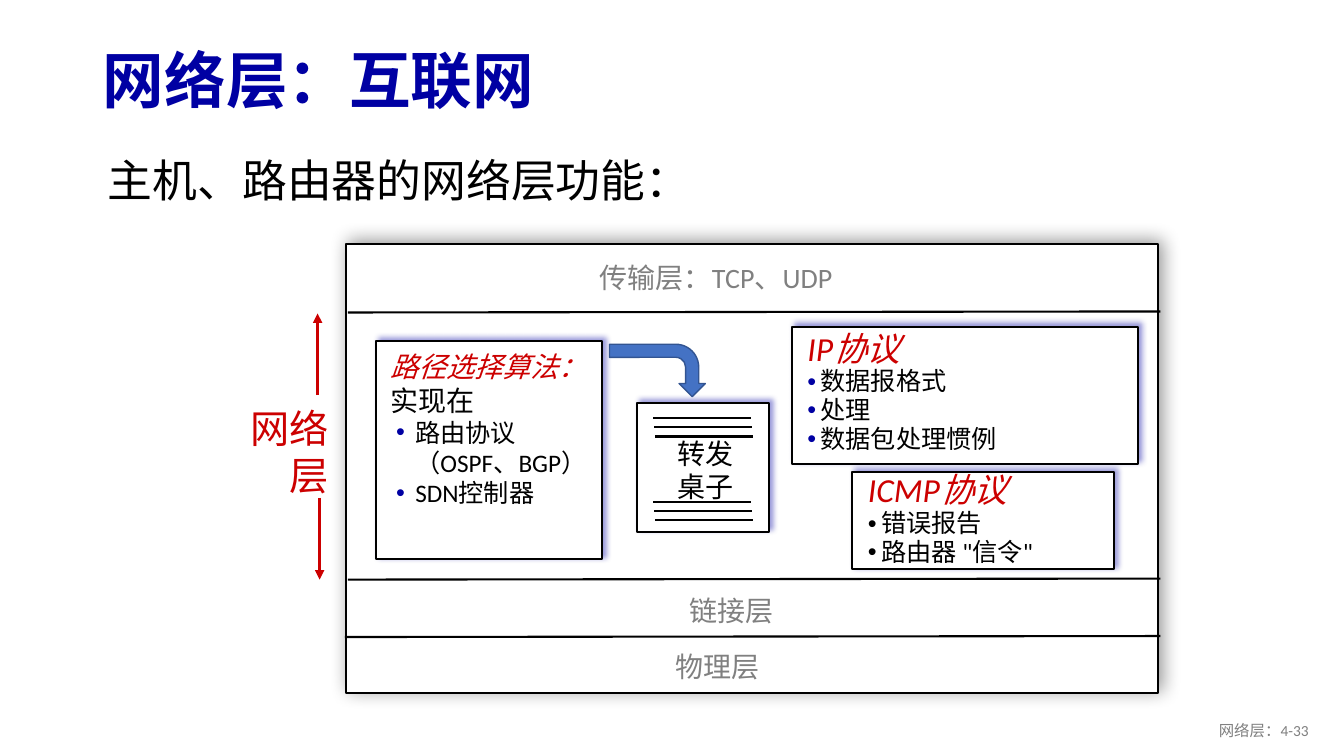
"""Build the slide on the functions of the network layer."""
from lxml import etree
from pptx import Presentation
from pptx.dml.color import RGBColor
from pptx.enum.shapes import MSO_CONNECTOR, MSO_SHAPE
from pptx.enum.text import MSO_ANCHOR, MSO_AUTO_SIZE, PP_ALIGN
from pptx.oxml.ns import qn
from pptx.util import Pt

PX = 9144
LINE = MSO_CONNECTOR.STRAIGHT
RECT, BENT = MSO_SHAPE.RECTANGLE, MSO_SHAPE.BENT_ARROW
LEFT, MID, RIGHT = PP_ALIGN.LEFT, PP_ALIGN.CENTER, PP_ALIGN.RIGHT
CENTER = MSO_ANCHOR.MIDDLE
GROW, FIXED = MSO_AUTO_SIZE.SHAPE_TO_FIT_TEXT, MSO_AUTO_SIZE.NONE
HUES = {"navy": "0000A3", "red": "CC0000", "ink": "000000", "gray": "808080",
        "white": "FFFFFF", "blue": "4472C4", "edge": "325491"}
RGB = {name: RGBColor.from_string(code) for name, code in HUES.items()}


def say(frame, text, size=20, hue="ink", bold=False, ital=False, align=LEFT,
        space=None, dot=None, pad=0, hang=0, join=False):
    para = frame.paragraphs[-1]
    if para.runs and not join:
        para = frame.add_paragraph()
    if not join:
        para.alignment = align
        para.line_spacing = space
    if dot:
        props = para._p.get_or_add_pPr()
        props.set("marL", str(pad * PX))
        props.set("indent", str(-hang * PX))
        tint = etree.SubElement(props, qn("a:buClr"))
        etree.SubElement(tint, qn("a:srgbClr"), val=HUES[dot])
        etree.SubElement(props, qn("a:buFont"), typeface="Arial")
        etree.SubElement(props, qn("a:buChar"), char="•")
    run = para.add_run()
    run.text = text
    font = run.font
    font.name, font.size = "Calibri", Pt(size)
    font.bold, font.italic = bold, ital
    font.color.rgb = RGB[hue]


def box(x, y, w, h, wrap=False, fit=GROW):
    frame = slide.shapes.add_textbox(x * PX, y * PX, w * PX, h * PX).text_frame
    frame.word_wrap = wrap
    frame.auto_size = fit
    return frame


deck = Presentation()
deck.slide_width, deck.slide_height = 1333 * PX, 750 * PX
slide = deck.slides.add_slide(deck.slide_layouts[5])

title = slide.shapes.title
title.left, title.top, title.width, title.height = (n * PX for n in (92, 34, 1150, 98))
title.text_frame.vertical_anchor = CENTER
say(title.text_frame, "网络层：互联网", 44, "navy", bold=True, space=0.9)

panels = [
    (343, 242, 806, 446, "ink", 13),
    (786, 324, 343, 136, "navy", 4),
    (845, 468, 260, 97, "navy", 4),
    (632, 400, 131, 128, "navy", 4),
    (373, 338, 224, 217, "navy", 4),
]
for x, y, w, h, glow, blur in panels:
    panel = slide.shapes.add_shape(RECT, x * PX, y * PX, w * PX, h * PX)
    panel.fill.solid()
    panel.fill.fore_color.rgb = RGB["white"]
    panel.line.color.rgb = RGB["ink"]
    panel.line.width = Pt(1.5)
    panel.shadow.inherit = False
    effects = panel._element.spPr.find(qn("a:effectLst"))
    shade = etree.SubElement(effects, qn("a:outerShdw"), blurRad=str(Pt(blur)),
                             dist=str(Pt(3)), dir="18900000", algn="bl", rotWithShape="0")
    tint = etree.SubElement(shade, qn("a:srgbClr"), val=HUES[glow])
    etree.SubElement(tint, qn("a:alpha"), val="40000")

layers = [(345, 310, 1151, 309), (345, 575, 1151, 574), (342, 632, 1151, 631)]
rows = [(648 + step, top + 9 * step, 745 + step, top + 9 * step)
        for top in (415, 498) for step in range(3)]
arrows = [(315, 392, 315, 311), (317, 494, 317, 575)]
for ends in layers + rows + arrows:
    line = slide.shapes.add_connector(LINE, *(n * PX for n in ends))
    arrow = ends in arrows
    line.line.color.rgb = RGB["red" if arrow else "ink"]
    line.line.width = Pt(2.25 if arrow else 1.5)
    if arrow:
        etree.SubElement(line.line._get_or_add_ln(), qn("a:tailEnd"), type="triangle")
    etree.SubElement(line._element.spPr, qn("a:effectLst"))

bend = slide.shapes.add_shape(BENT, 626 * PX, 320 * PX, 52 * PX, 95 * PX)
bend.rotation = 90
bend.fill.solid()
bend.fill.fore_color.rgb = RGB["blue"]
bend.line.color.rgb = RGB["edge"]
bend.line.width = Pt(1)
bend.shadow.inherit = False

say(box(97, 155, 824, 48, True, FIXED), "主机、路由器的网络层功能：", 32, space=0.85)

for x, y, w, text in [(585, 254, 310, "传输层：TCP、UDP"),
                      (674, 584, 123, "链接层"), (660, 639, 174, "物理层")]:
    say(box(x, y, w, 44), text, hue="gray")

side = box(182, 396, 154, 104)
for text in ("网络", "层"):
    say(side, text, 28, "red", align=RIGHT)

table = box(627, 428, 146, 77)
for text in ("转发", "桌子"):
    say(table, text, align=MID)

route = box(377, 342, 232, 202, True)
say(route, "路径选择算法：", hue="red", ital=True)
say(route, "实现在", join=True)
for text in ("路由协议（OSPF、BGP）", "SDN控制器"):
    say(route, text, 18, dot="navy", pad=25, hang=19)

notes = [
    (box(791, 320, 333, 137), "IP协议", None, "navy",
     ("数据报格式", "处理", "数据包处理惯例")),
    (box(851, 463, 269, 106, True), "ICMP协议", 0.95, "ink",
     ("错误报告", "路由器 \"信令\"")),
]
for frame, head, space, dot, items in notes:
    say(frame, head, 24, "red", ital=True, space=space)
    for text in items:
        say(frame, text, 18, space=0.95, dot=dot, pad=13, hang=13)

foot = box(1008, 705, 300, 40, True, FIXED)
foot.vertical_anchor = CENTER
say(foot, "网络层：4-33", 11, "gray", align=RIGHT)

deck.save("out.pptx")
